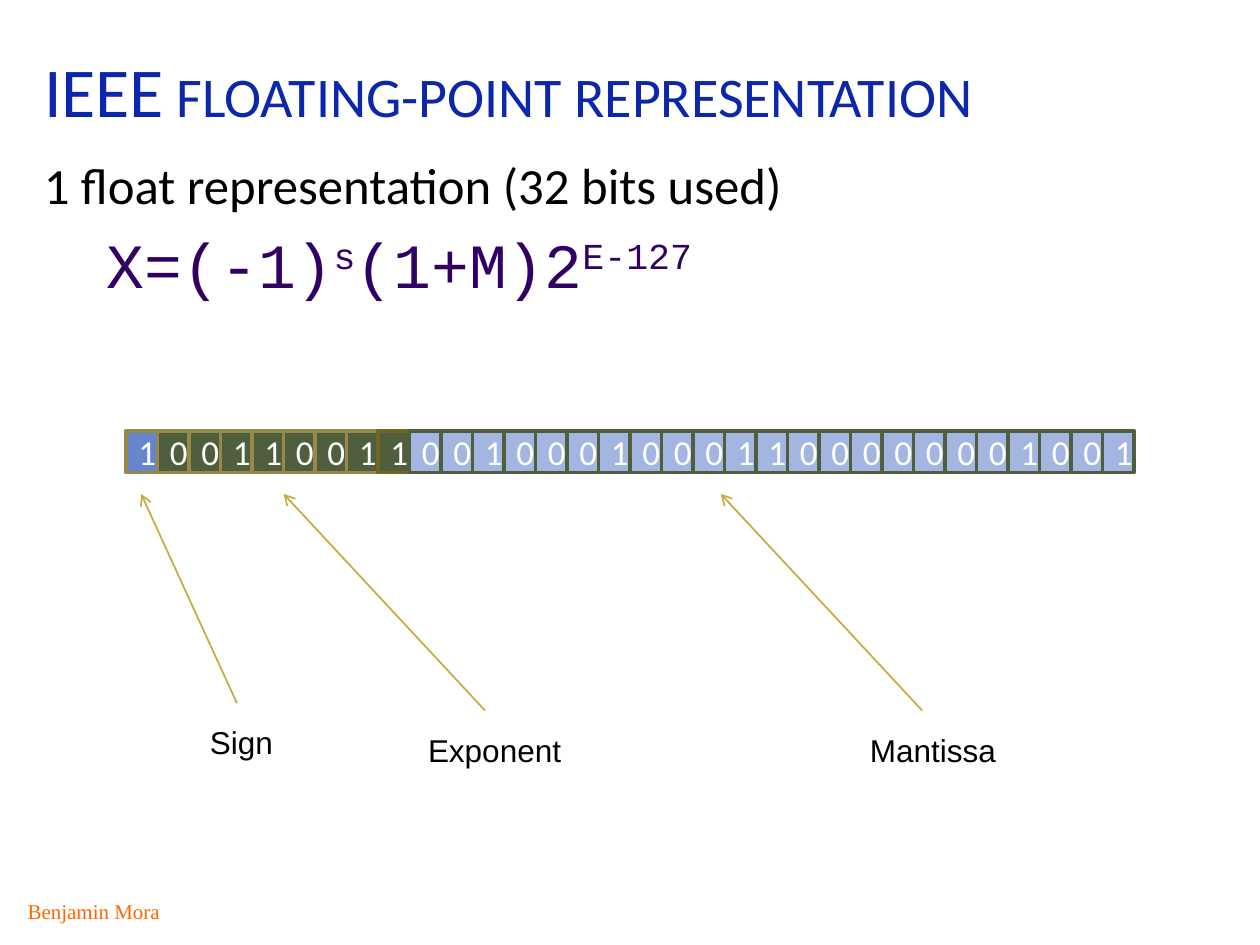
from lxml import etree
from pptx import Presentation
from pptx.dml.color import RGBColor
from pptx.enum.shapes import MSO_CONNECTOR, MSO_SHAPE
from pptx.enum.text import MSO_ANCHOR, MSO_AUTO_SIZE, PP_ALIGN
from pptx.oxml.ns import qn
from pptx.util import Inches, Pt

RECT = MSO_SHAPE.RECTANGLE
STRAIGHT = MSO_CONNECTOR.STRAIGHT
CENTER, LEFT = PP_ALIGN.CENTER, PP_ALIGN.LEFT
MIDDLE, BOTTOM = MSO_ANCHOR.MIDDLE, MSO_ANCHOR.BOTTOM
NO_FIT = MSO_AUTO_SIZE.NONE

NAVY = RGBColor(0x0C, 0x27, 0xAC)
BLACK = RGBColor(0x00, 0x00, 0x00)
WHITE = RGBColor(0xFF, 0xFF, 0xFF)
PURPLE = RGBColor(0x32, 0x00, 0x64)
ORANGE = RGBColor(0xFF, 0x66, 0x00)
BLUE = RGBColor(0x65, 0x85, 0xCF)
PALE = RGBColor(0xA3, 0xB6, 0xE2)
GREEN = RGBColor(0x4F, 0x5E, 0x3C)
OLIVE = RGBColor(0x98, 0x89, 0x4B)
BROWN = RGBColor(0x75, 0x65, 0x25)
GOLD = RGBColor(0xC7, 0xAC, 0x41)

BITS = "10011001100100010001100000001001"
BIT_W = 0.25


def style(run, name, size, color):
    run.font.name = name
    run.font.size = Pt(size)
    run.font.color.rgb = color


def add_text(left, top, width, height, text=""):
    box = slide.shapes.add_textbox(
        Inches(left), Inches(top), Inches(width), Inches(height))
    box.text_frame.word_wrap = True
    box.text_frame.text = text
    return box.text_frame


prs = Presentation()
prs.slide_width, prs.slide_height = Inches(10), Inches(7.5)
slide = prs.slides.add_slide(prs.slide_layouts[5])

# Title
title = slide.shapes.title
title.left, title.top = Inches(0.25), Inches(0.17)
title.width, title.height = Inches(9.5), Inches(0.92)
frame = title.text_frame
frame.text = "IEEE floating-point representation"
frame.vertical_anchor = BOTTOM
frame.auto_size = NO_FIT
frame.paragraphs[0].alignment = LEFT
run = frame.paragraphs[0].runs[0]
style(run, "Calibri", 40, NAVY)
run.font._element.set("cap", "small")

# Statement and formula
body = add_text(0.25, 1.17, 9.5, 5.75, "1 float representation (32 bits used)")
style(body.paragraphs[0].runs[0], "Calibri", 29, BLACK)
formula = body.add_paragraph()
formula.space_before = Pt(6)
for text, raised in (("\tX=(-1)", False), ("s", True),
                     ("(1+M)2", False), ("E-127", True)):
    run = formula.add_run()
    run.text = text
    style(run, "Courier New", 36, PURPLE)
    if raised:
        run.font._element.set("baseline", "30000")

# Author
author = add_text(0.08, 7.08, 1.33, 0.3, "Benjamin Mora").paragraphs[0]
author.alignment = CENTER
style(author.runs[0], "Times New Roman", 12, ORANGE)

# Row of bits: 1 sign, 8 exponent, 23 mantissa
fills = [BLUE] + [GREEN] * 8 + [PALE] * 23
edges = [OLIVE] * 8 + [BROWN] + [GREEN] * 23
for i, (bit, fill, edge) in enumerate(zip(BITS, fills, edges)):
    cell = slide.shapes.add_shape(
        RECT, Inches(1 + i * BIT_W), Inches(3.42), Inches(BIT_W), Inches(0.33))
    cell.shadow.inherit = False
    cell.fill.solid()
    cell.fill.fore_color.rgb = fill
    cell.line.color.rgb = edge
    cell.line.width = Pt(2)
    cell.text_frame.text = bit
    cell.text_frame.vertical_anchor = MIDDLE
    para = cell.text_frame.paragraphs[0]
    para.alignment = CENTER
    style(para.runs[0], "Calibri", 20, WHITE)

# Field names, each with an arrow up to its bits
for name, left, top, start, tip in (("Sign", 0.82, 5.69, 1.88, 1.12),
                                    ("Exponent", 2.83, 5.75, 3.85, 2.25),
                                    ("Mantissa", 6.31, 5.75, 7.32, 5.72)):
    label = add_text(left, top, 2.19, 0.42, name).paragraphs[0]
    label.alignment = CENTER
    style(label.runs[0], "Arial", 18, BLACK)
    arrow = slide.shapes.add_connector(
        STRAIGHT, Inches(start), Inches(top - 0.11), Inches(tip), Inches(3.92))
    arrow.line.color.rgb = GOLD
    arrow.line.width = Pt(1)
    etree.SubElement(arrow.line._get_or_add_ln(), qn("a:tailEnd"), type="arrow")
    etree.SubElement(arrow._element.spPr, qn("a:effectLst"))

prs.save("out.pptx")
